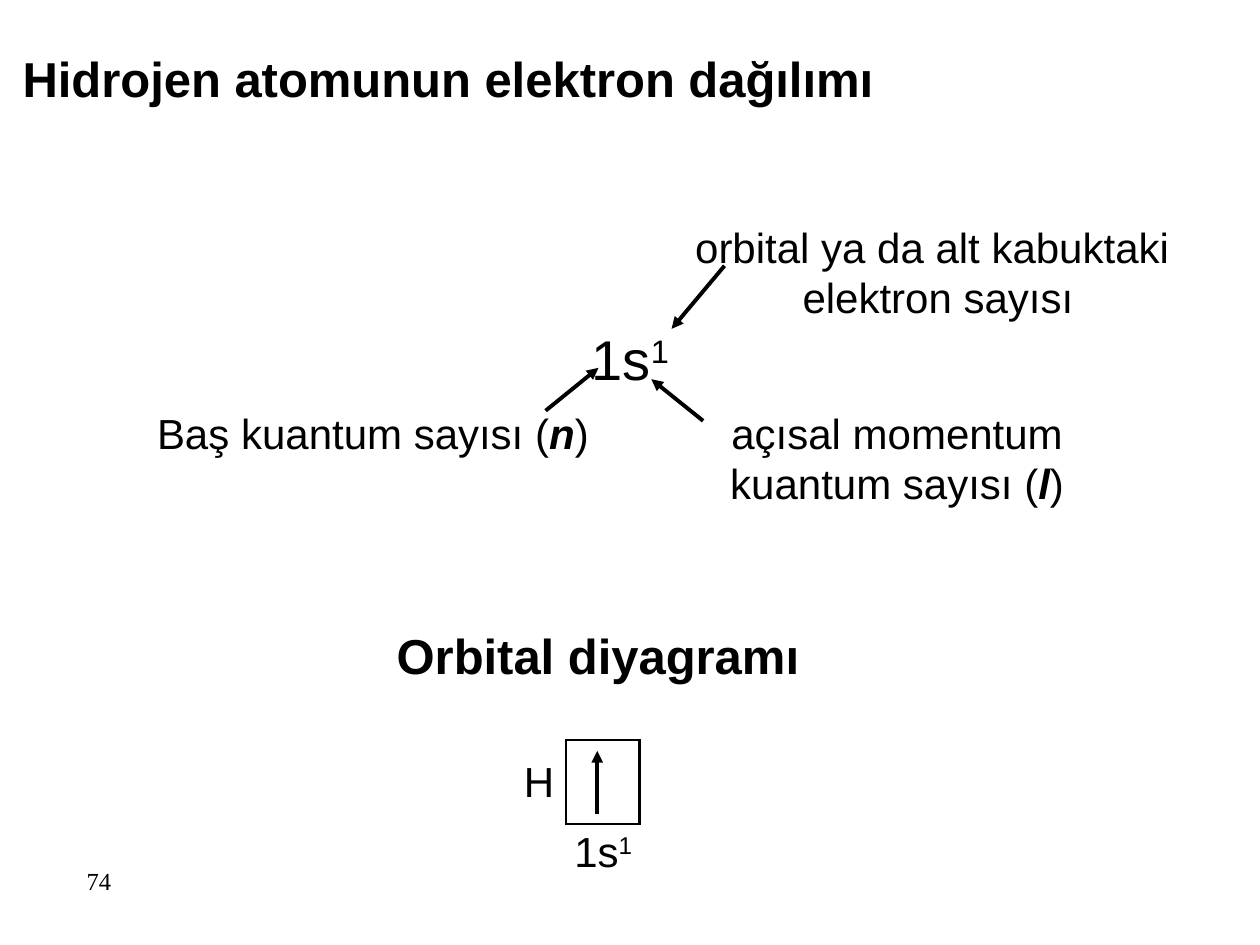
from dataclasses import dataclass, field

from lxml.etree import SubElement
from pptx import Presentation
from pptx.dml.color import RGBColor
from pptx.enum.shapes import MSO_CONNECTOR as Connector, MSO_SHAPE as Shape
from pptx.enum.text import MSO_AUTO_SIZE as AutoSize, PP_ALIGN as Align
from pptx.oxml.ns import qn
from pptx.slide import Slide
from pptx.util import Pt

BLACK = RGBColor(0, 0, 0)
WHITE = RGBColor(255, 255, 255)

PLAIN = {}
BOLD = {"bold": True}
SYMBOL = {"bold": True, "italic": True}
SUPERSCRIPT = {"baseline": "30000"}

Run = tuple[str, dict]


@dataclass(frozen=True)
class Label:
    left: float
    top: float
    width: float
    height: float
    lines: list[list[Run]]
    size: float = 24
    align: Align = Align.LEFT
    font: str = "Arial"
    wrap: bool = False
    margins: dict = field(default_factory=lambda: {
        "margin_left": Pt(7.2), "margin_right": Pt(7.2),
        "margin_top": Pt(3.6), "margin_bottom": Pt(3.6),
    })


@dataclass(frozen=True)
class Arrow:
    start_x: float
    start_y: float
    end_x: float
    end_y: float


def draw_label(slide: Slide, label: Label) -> None:
    box = slide.shapes.add_textbox(
        Pt(label.left), Pt(label.top), Pt(label.width), Pt(label.height))
    frame = box.text_frame
    frame_format = {
        **label.margins,
        "word_wrap": label.wrap,
        "auto_size": AutoSize.SHAPE_TO_FIT_TEXT,
    }
    for name, value in frame_format.items():
        setattr(frame, name, value)
    for index, line in enumerate(label.lines):
        paragraph = frame.add_paragraph() if index else frame.paragraphs[0]
        paragraph.alignment = label.align
        for text, style in line:
            run = paragraph.add_run()
            run.text = text
            run.font.color.rgb = BLACK
            font_format = {"name": label.font, "size": Pt(label.size), **style}
            baseline = font_format.pop("baseline", None)
            for name, value in font_format.items():
                setattr(run.font, name, value)
            if baseline:
                run._r.get_or_add_rPr().set("baseline", baseline)


def draw_arrow(slide: Slide, arrow: Arrow) -> None:
    connector = slide.shapes.add_connector(
        Connector.STRAIGHT, Pt(arrow.start_x), Pt(arrow.start_y),
        Pt(arrow.end_x), Pt(arrow.end_y))
    connector.line.width = Pt(2.25)
    connector.line.color.rgb = BLACK
    properties = connector._element.spPr
    SubElement(properties.find(qn("a:ln")), qn("a:tailEnd"), type="triangle")
    SubElement(properties, qn("a:effectLst"))


def draw_orbital(slide: Slide) -> None:
    orbital = slide.shapes.add_shape(
        Shape.RECTANGLE, Pt(323.5), Pt(422.8), Pt(41.8), Pt(48.2))
    orbital.shadow.inherit = False
    orbital.fill.solid()
    orbital.fill.fore_color.rgb = WHITE
    orbital.line.color.rgb = BLACK
    orbital.line.width = Pt(1.5)
    SubElement(orbital._element.spPr.find(qn("a:ln")), qn("a:miter"), lim="800000")


CONFIGURATION = [[("1s", PLAIN), ("1", SUPERSCRIPT)]]

LABELS = [
    Label(42.5, 491.3, 150, 36, [[("74", PLAIN)]], 14,
          font="Times New Roman", wrap=True),
    Label(5.8, 24.2, 530, 41,
          [[("Hidrojen atomunun elektron dağılımı", BOLD)]], 28, wrap=True),
    Label(331, 181.8, 58.3, 46, CONFIGURATION, 32, Align.CENTER),
    Label(78.8, 229.3, 268.6, 36,
          [[("Baş kuantum sayısı (", PLAIN), ("n", SYMBOL), (")", PLAIN)]],
          align=Align.CENTER),
    Label(406, 229.3, 213.2, 64.8,
          [[("açısal momentum", PLAIN)],
           [("kuantum sayısı (", PLAIN), ("l", SYMBOL), (")", PLAIN)]],
          align=Align.CENTER),
    Label(385.2, 122.8, 301.6, 64.8,
          [[("orbital ya da alt kabuktaki ", PLAIN)],
           [("elektron sayısı", PLAIN)]],
          align=Align.CENTER),
    Label(219.6, 353.8, 256, 41, [[("Orbital diyagramı", BOLD)]], 28),
    Label(292.3, 428, 34, 36, [[("H", PLAIN)]]),
    Label(321.1, 468, 50, 36, CONFIGURATION),
]

ARROWS = [
    Arrow(311.8, 234.7, 342, 210.2),
    Arrow(401.8, 240.5, 372.2, 216.7),
    Arrow(414, 151.9, 383.8, 187.9),
    Arrow(341.3, 465.1, 341.3, 429.1),
]


def main() -> None:
    presentation = Presentation()
    presentation.slide_width = Pt(720)
    presentation.slide_height = Pt(540)
    slide = presentation.slides.add_slide(presentation.slide_layouts[6])
    for label in LABELS:
        draw_label(slide, label)
    draw_orbital(slide)
    for arrow in ARROWS:
        draw_arrow(slide, arrow)
    presentation.save("out.pptx")


if __name__ == "__main__":
    main()
